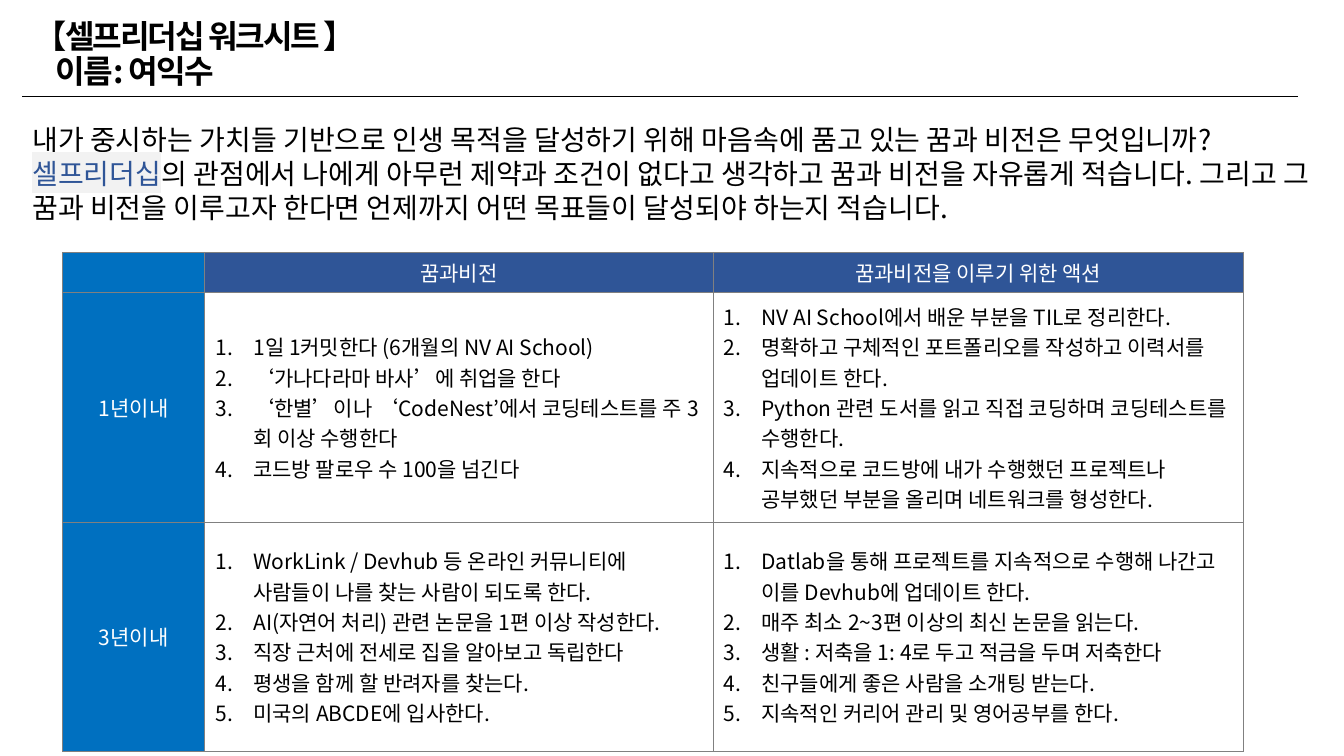
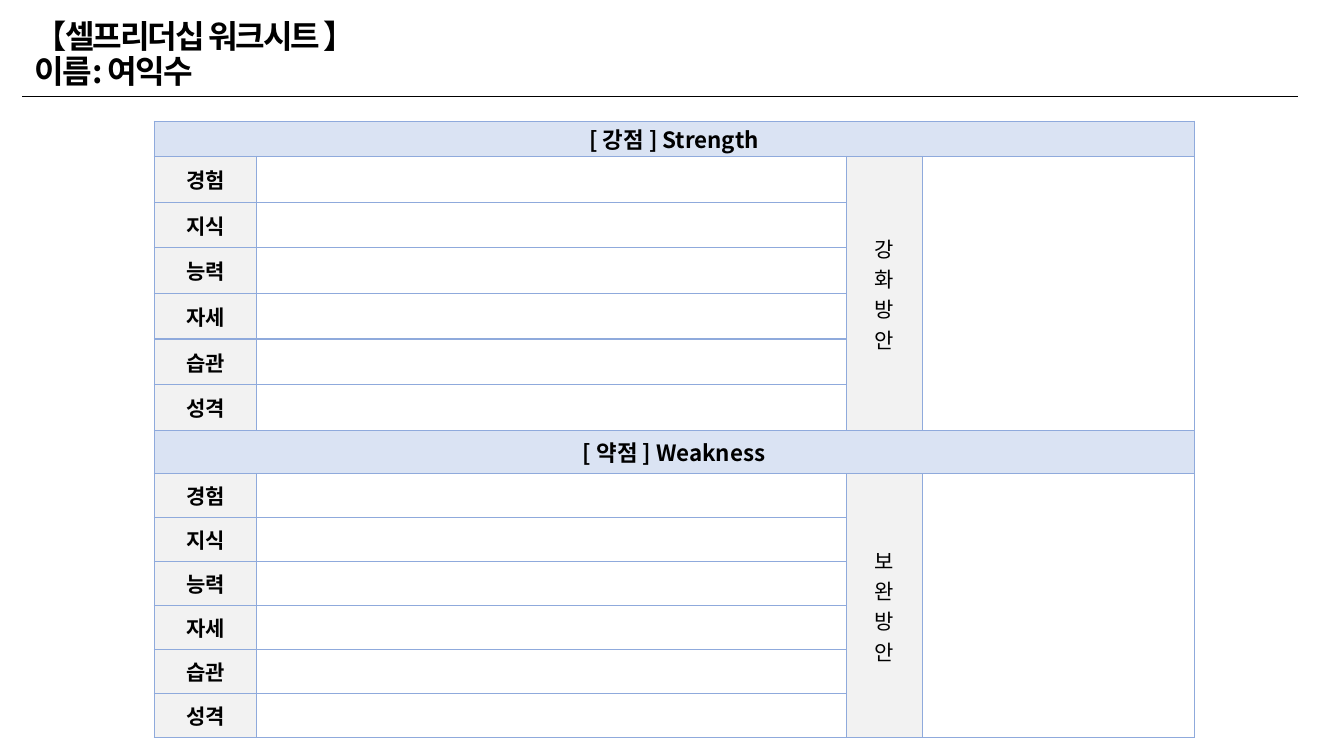
from lxml import etree
from pptx import Presentation, util as u
from pptx.dml.color import RGBColor
from pptx.enum import shapes, text
from pptx.oxml import ns

FONT = "Noto Sans CJK KR"
BLACK, WHITE, NAVY, BLUE = "000000", "FFFFFF", "2F5597", "0070C0"
GREY, PALE, EDGE, RULE = "F2F2F2", "DAE3F3", "8FAADC", "808080"
CENTER, MIDDLE = text.PP_ALIGN.CENTER, text.MSO_ANCHOR.MIDDLE

HEADING = "【셀프리더십 워크시트 】"
NAME = "이름: 여익수"
NAME_INDENTS = (15, 0)

INTRO = [
    [("내가 중시하는 가치들 기반으로 인생 목적을 달성하기 위해 마음속에 품고 있는 꿈과 비전은 무엇입니까?", {})],
    [("셀프리더십", {"color": NAVY, "highlight": GREY}),
     ("의 관점에서 나에게 아무런 제약과 조건이 없다고 생각하고 꿈과 비전을 자유롭게 적습니다. "
      "그리고 그 꿈과 비전을 이루고자 한다면 언제까지 어떤 목표들이 달성되야 하는지 적습니다.", {})],
]

VISION_HEADS = ["", "꿈과비전", "꿈과비전을 이루기 위한 액션"]
VISION_ROWS = [
    ("1년이내",
     ["1일 1커밋한다 (6개월의 NV AI School)",
      "‘가나다라마 바사’에 취업을 한다",
      "‘한별’이나 ‘CodeNest’에서 코딩테스트를 주 3회 이상 수행한다",
      "코드방 팔로우 수 100을 넘긴다"],
     ["NV AI School에서 배운 부분을 TIL로 정리한다.",
      "명확하고 구체적인 포트폴리오를 작성하고 이력서를 업데이트 한다.",
      "Python 관련 도서를 읽고 직접 코딩하며 코딩테스트를 수행한다.",
      "지속적으로 코드방에 내가 수행했던 프로젝트나 공부했던 부분을 올리며 네트워크를 형성한다."]),
    ("3년이내",
     ["WorkLink / Devhub 등 온라인 커뮤니티에 사람들이 나를 찾는 사람이 되도록 한다.",
      "AI(자연어 처리) 관련 논문을 1편 이상 작성한다.",
      "직장 근처에 전세로 집을 알아보고 독립한다",
      "평생을 함께 할 반려자를 찾는다.",
      "미국의 ABCDE에 입사한다."],
     ["Datlab을 통해 프로젝트를 지속적으로 수행해 나간고 이를 Devhub에 업데이트 한다.",
      "매주 최소 2~3편 이상의 최신 논문을 읽는다.",
      "생활 : 저축을 1: 4로 두고 적금을 두며 저축한다",
      "친구들에게 좋은 사람을 소개팅 받는다.",
      "지속적인 커리어 관리 및 영어공부를 한다."]),
]
VISION_COLUMNS, VISION_HEIGHTS = (101.5, 362.9, 379.1), (24.5, 163.8, 163.8)

TRAITS = ["경험", "지식", "능력", "자세", "습관", "성격"]
# title, plan label, heading height, trait row height
SECTIONS = [("[ 강점 ] Strength", "강화방안", 25.2, 32.6),
            ("[ 약점 ] Weakness", "보완방안", 31, 31.4)]
TRAIT_COLUMNS = (73, 421.3, 54.3, 194.2)


def rgb(code):
    """Turn a hex string into a colour."""
    return RGBColor.from_string(code)


def child(parent, tag, **values):
    """Append an XML element with attributes."""
    return etree.SubElement(parent, ns.qn(tag), **values)


def add_span(para, words, size, color=BLACK, bold=False, spacing=None, highlight=None):
    """Add one formatted run to a paragraph."""
    span = para.add_run()
    span.text = words
    for key, value in {"name": FONT, "size": u.Pt(size), "bold": bold}.items():
        setattr(span.font, key, value)
    span.font.color.rgb = rgb(color)
    props = span.font._element
    latin = props.find(ns.qn("a:latin"))
    latin.addnext(etree.Element(ns.qn("a:ea"), typeface=FONT))
    if spacing:
        props.set("spc", str(int(spacing * 100)))
    if highlight:
        mark = etree.Element(ns.qn("a:highlight"))
        child(mark, "a:srgbClr", val=highlight)
        latin.addprevious(mark)


def paragraphs(frame, count):
    """Return the frame's first paragraph followed by new ones."""
    return [frame.paragraphs[0]] + [frame.add_paragraph() for _ in range(count - 1)]


def add_box(page, left, top, width, height, **frame_format):
    """Add a wrapping text box and return its frame."""
    box = page.shapes.add_textbox(*map(u.Pt, (left, top, width, height)))
    for key, value in {"word_wrap": True, **frame_format}.items():
        setattr(box.text_frame, key, value)
    return box.text_frame


def add_page(deck, name_indent):
    """Add a page with the shared title and the rule below it."""
    page = deck.slides.add_slide(deck.slide_layouts[6])
    line = page.shapes.add_connector(shapes.MSO_CONNECTOR.STRAIGHT,
                                     *map(u.Pt, (16, 69, 927.5, 69)))
    line.line.color.rgb = rgb(BLACK)
    line.line.width = u.Pt(0.5)
    child(line._element.spPr, "a:effectLst")
    frame = add_box(page, 20, 10.8, 845, 57.6, vertical_anchor=MIDDLE,
                    margin_left=u.Pt(5), margin_right=u.Pt(5),
                    margin_top=u.Pt(2.9), margin_bottom=u.Pt(2.9))
    for para, words, indent in zip(paragraphs(frame, 2), (HEADING, NAME), (0, name_indent)):
        para.line_spacing = 0.9
        para._p.get_or_add_pPr().set("marL", str(u.Pt(indent)))
        add_span(para, words, 23, bold=True, spacing=-1.5)
    return page


def add_grid(page, left, top, widths, heights):
    """Add a plain table with the given column widths and row heights."""
    frame = page.shapes.add_table(len(heights), len(widths),
                                  *map(u.Pt, (left, top, sum(widths), sum(heights))))
    table = frame.table
    table.first_row = table.horz_banding = False
    for column, width in zip(table.columns, widths):
        column.width = u.Pt(width)
    for row, height in zip(table.rows, heights):
        row.height = u.Pt(height)
    return table


def style_cell(cell, fill, edge, edge_width, margins):
    """Set the borders, fill, insets and anchor of a cell."""
    side, end = map(u.Pt, margins)
    for key, value in {"margin_left": side, "margin_right": side, "margin_top": end,
                       "margin_bottom": end, "vertical_anchor": MIDDLE}.items():
        setattr(cell, key, value)
    props = cell._tc.get_or_add_tcPr()
    for tag in ("a:lnL", "a:lnR", "a:lnT", "a:lnB"):
        border = child(props, tag, w=str(u.Pt(edge_width)))
        child(child(border, "a:solidFill"), "a:srgbClr", val=edge)
    cell.fill.solid()
    cell.fill.fore_color.rgb = rgb(fill)


def write_cell(cell, lines, size=15, numbered=False, **span_format):
    """Write centred lines or a numbered list into a cell."""
    for para, words in zip(paragraphs(cell.text_frame, len(lines)), lines):
        if numbered:
            props = para._p.get_or_add_pPr()
            props.set("marL", str(u.Pt(27)))
            props.set("indent", str(u.Pt(-27)))
            child(props, "a:buAutoNum", type="arabicPeriod")
        else:
            para.alignment = CENTER
        add_span(para, words, size, **span_format)


def build_vision(deck):
    """Build the page of dreams, visions and actions."""
    page = add_page(deck, NAME_INDENTS[0])
    table = add_grid(page, 44.8, 180.2, VISION_COLUMNS, VISION_HEIGHTS)
    rows = [VISION_HEADS] + VISION_ROWS
    for r, row in enumerate(rows):
        for c, content in enumerate(row):
            cell = table.cell(r, c)
            listed = isinstance(content, list)
            fill = WHITE if listed else BLUE if c == 0 else NAVY
            style_cell(cell, fill, RULE, 0.5, (7.7, 3.6))
            write_cell(cell, content if listed else [content], numbered=listed,
                       color=BLACK if listed else WHITE)
    frame = add_box(page, 16, 84.2, 935.3, 80,
                    auto_size=text.MSO_AUTO_SIZE.SHAPE_TO_FIT_TEXT)
    for para, spans in zip(paragraphs(frame, len(INTRO)), INTRO):
        for words, span_format in spans:
            add_span(para, words, 20, **span_format)


def build_traits(deck):
    """Build the page of strengths and weaknesses."""
    page = add_page(deck, NAME_INDENTS[1])
    count = len(TRAITS)
    heights = [height for _, _, head, row in SECTIONS for height in [head] + [row] * count]
    table = add_grid(page, 110.2, 86.6, TRAIT_COLUMNS, heights)
    for r in range(len(heights)):
        heading = r % (count + 1) == 0
        for c in range(len(TRAIT_COLUMNS)):
            fill = PALE if heading else WHITE if c % 2 else GREY
            style_cell(table.cell(r, c), fill, EDGE, 1, (2, 0.7))
    for s, (title, plan, _, _) in enumerate(SECTIONS):
        top = s * (count + 1)
        table.cell(top, 0).merge(table.cell(top, 3))
        write_cell(table.cell(top, 0), [title], 16, bold=True)
        for c in (2, 3):
            table.cell(top + 1, c).merge(table.cell(top + count, c))
        write_cell(table.cell(top + 1, 2), list(plan))
        for r, trait in enumerate(TRAITS, top + 1):
            write_cell(table.cell(r, 0), [trait], bold=True)


deck = Presentation()
deck.slide_width, deck.slide_height = u.Pt(960), u.Pt(540)
build_vision(deck)
build_traits(deck)
deck.save("out.pptx")
